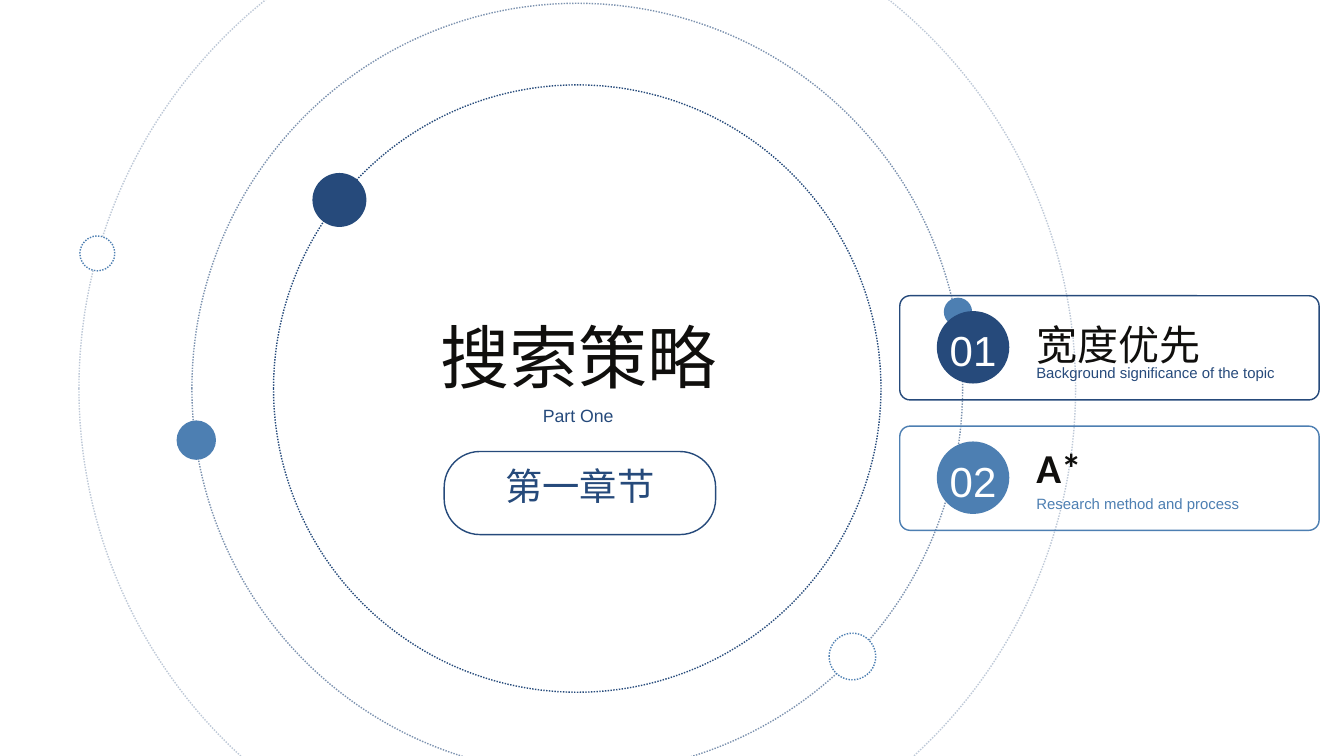
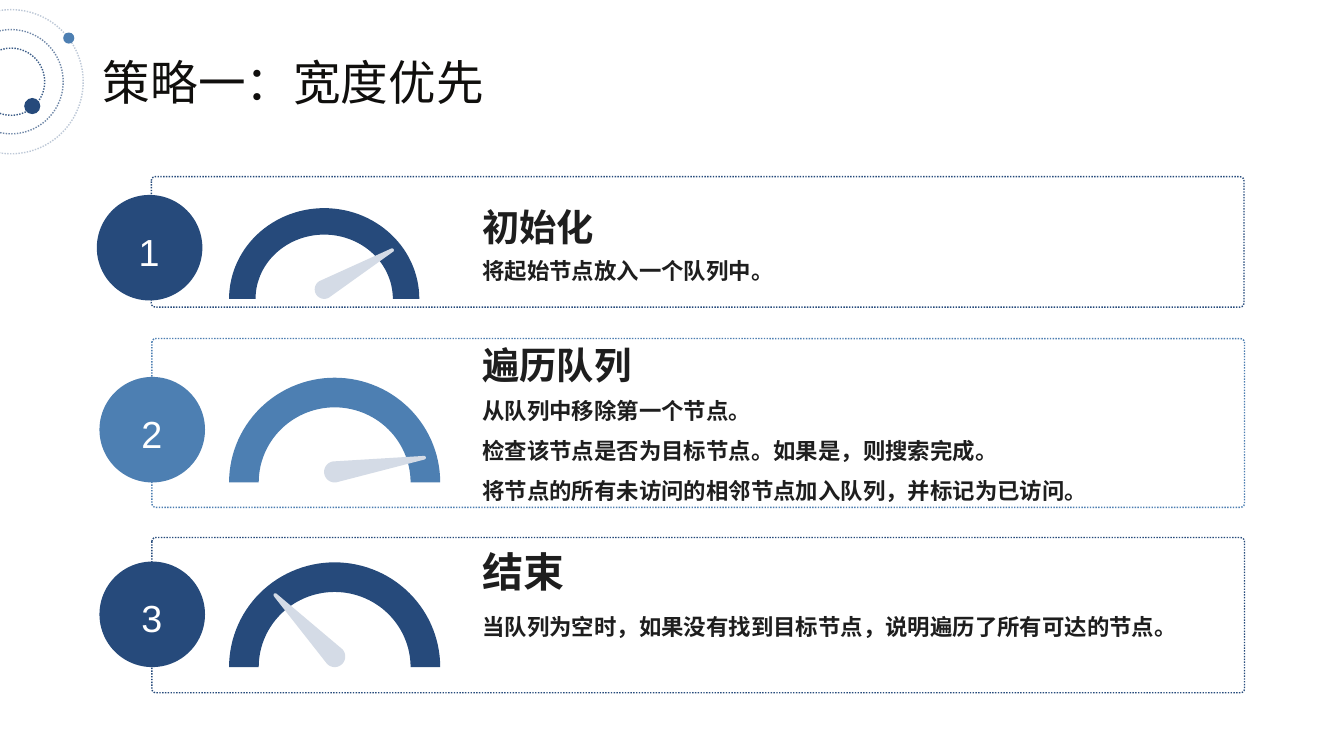
from dataclasses import dataclass
from math import cos, radians, sin

from lxml import etree
from pptx import Presentation
from pptx.dml.color import RGBColor
from pptx.enum.dml import MSO_LINE
from pptx.enum.shapes import MSO_SHAPE
from pptx.enum.text import MSO_ANCHOR, PP_ALIGN
from pptx.oxml.ns import qn
from pptx.util import Cm, Pt

OVAL = MSO_SHAPE.OVAL
ROUNDED = MSO_SHAPE.ROUNDED_RECTANGLE
DOTTED = MSO_LINE.ROUND_DOT
LEFT, CENTER, JUSTIFY = PP_ALIGN.LEFT, PP_ALIGN.CENTER, PP_ALIGN.JUSTIFY

COLORS = {
    "navy": "264A7B",
    "blue": "4D7FB2",
    "needle": "D4DBE6",
    "title": "100F0D",
    "body": "1E1E1E",
    "white": "FFFFFF",
}
TITLE_FONT, LATIN_FONT, BODY_FONT = "Calibri", "Arial", "Noto Sans CJK SC"


# All lengths in the records are centimetres.
@dataclass
class Ring:
    diameter: float
    opacity: int


@dataclass
class Dot:
    x: float
    y: float
    diameter: float
    color: str
    hollow: bool = False


@dataclass
class Card:
    number: str
    title: str
    subtitle: str
    color: str
    title_spacing: float
    bold: bool = False


@dataclass
class Gauge:
    width: float
    height: float
    band: float
    baseline: float
    pivot_radius: float
    needle_angle: float
    needle_length: float


@dataclass
class Step:
    number: str
    heading: str
    lines: list[str]
    color: str
    panel: tuple[float, float, float]  # left, top, height
    badge: tuple[float, float]  # left, top
    gauge: Gauge
    heading_top: float
    body_top: float
    heading_size: float = 40
    body_height: float = 1.02
    body_spacing: float | Pt = Pt(28.6)


CHAPTER_RINGS = [Ring(37.67, 30), Ring(29.13, 60), Ring(22.96, 100)]
CHAPTER_DOTS = [
    Dot(12.83, 7.56, 2.04, "navy"),
    Dot(7.42, 16.64, 1.49, "blue"),
    Dot(32.22, 24.82, 1.76, "blue", hollow=True),
    Dot(3.68, 9.58, 1.32, "blue", hollow=True),
    Dot(36.21, 11.79, 1.07, "blue"),
]
HEADER_RINGS = [Ring(5.45, 30), Ring(3.94, 65), Ring(2.54, 90)]
HEADER_DOTS = [Dot(1.22, 4.01, 0.61, "navy"), Dot(2.6, 1.44, 0.42, "blue")]

CARDS = [
    Card("01", "宽度优先", "Background significance of the topic", "navy", 61.2),
    Card("02", "A*", "Research method and process", "blue", 52.8, bold=True),
]
CARD_TOP, CARD_PITCH = 11.18, 4.93

STEPS = [
    Step("1", "初始化", ["将起始节点放入一个队列中。"], "navy",
         (5.72, 6.68, 4.93), (3.66, 7.37),
         Gauge(7.19, 3.43, 1, 11.3, 0.36, 30, 2.96), 7.87, 9.73),
    Step("2", "遍历队列",
         ["从队列中移除第一个节点。",
          "检查该节点是否为目标节点。如果是，则搜索完成。",
          "将节点的所有未访问的相邻节点加入队列，并标记为已访问。"], "blue",
         (5.74, 12.8, 6.38), (3.76, 14.25),
         Gauge(7.98, 3.96, 1.12, 18.24, 0.4, 9, 3.42), 13.08, 14.5,
         body_height=4.32, body_spacing=1.5),
    Step("3", "结束", ["当队列为空时，如果没有找到目标节点，说明遍历了所有可达的节点。"], "navy",
         (5.74, 20.32, 5.87), (3.76, 21.23),
         Gauge(7.98, 3.96, 1.12, 25.22, 0.4, 134, 3.23), 20.98, 23.19,
         heading_size=44),
]
GAUGE_LEFT, TEXT_LEFT, BADGE_SIZE = 8.66, 18.23, 3.99


def rgb(name: str) -> RGBColor:
    return RGBColor.from_string(COLORS[name])


def paint(shape, fill: str | None, line: str | None, dotted: bool, opacity: int) -> None:
    shape.shadow.inherit = False
    if fill:
        shape.fill.solid()
        shape.fill.fore_color.rgb = rgb(fill)
    else:
        shape.fill.background()
    if not line:
        shape.line.fill.background()
        return
    shape.line.color.rgb = rgb(line)
    shape.line.width = Pt(1.5)
    if dotted:
        shape.line.dash_style = DOTTED
    if opacity < 100:
        color = shape.line._ln.find(".//" + qn("a:srgbClr"))
        etree.SubElement(color, qn("a:alpha")).set("val", str(opacity * 1000))


def add_preset(slide, kind, left: float, top: float, width: float, height: float, *,
               fill: str | None = None, line: str | None = None, dotted: bool = False,
               opacity: int = 100, radius: float = 0) -> None:
    shape = slide.shapes.add_shape(kind, Cm(left), Cm(top), Cm(width), Cm(height))
    if kind == ROUNDED:
        shape.adjustments[0] = radius / min(width, height)
    paint(shape, fill, line, dotted, opacity)


def add_polygon(slide, points: list[tuple[float, float]], fill: str) -> None:
    corners = [(Cm(x), Cm(y)) for x, y in points]
    builder = slide.shapes.build_freeform(*corners[0])
    builder.add_line_segments(corners[1:], close=True)
    paint(builder.convert_to_shape(), fill, None, False, 100)


def add_text(slide, text: str | list[str], left: float, top: float, width: float,
             height: float, *, size: float, font: str, color: str,
             spacing: float | Pt, align=LEFT, bold: bool = False) -> None:
    box = slide.shapes.add_textbox(Cm(left), Cm(top), Cm(width), Cm(height))
    frame = box.text_frame
    frame.word_wrap = True
    frame.vertical_anchor = MSO_ANCHOR.TOP
    frame.margin_left = frame.margin_right = frame.margin_top = frame.margin_bottom = 0
    lines = [text] if isinstance(text, str) else text
    for index, line in enumerate(lines):
        paragraph = frame.paragraphs[0] if index == 0 else frame.add_paragraph()
        paragraph.alignment = align
        paragraph.line_spacing = spacing
        run = paragraph.add_run()
        run.text = line
        run.font.size = Pt(size)
        run.font.bold = bold
        run.font.name = font
        run.font.color.rgb = rgb(color)
        east_asian = etree.SubElement(run.font._element, qn("a:ea"))
        east_asian.set("typeface", font)


def add_circle(slide, x: float, y: float, diameter: float, **style) -> None:
    add_preset(slide, OVAL, x - diameter / 2, y - diameter / 2, diameter, diameter, **style)


def add_orbits(slide, x: float, y: float, rings: list[Ring], dots: list[Dot]) -> None:
    for ring in rings:
        add_circle(slide, x, y, ring.diameter, line="navy", dotted=True, opacity=ring.opacity)
    for dot in dots:
        if dot.hollow:
            add_circle(slide, dot.x, dot.y, dot.diameter, fill="white", line=dot.color, dotted=True)
        else:
            add_circle(slide, dot.x, dot.y, dot.diameter, fill=dot.color)


def arc(x: float, y: float, radius_x: float, radius_y: float,
        start: int, end: int, step: int) -> list[tuple[float, float]]:
    """Points counterclockwise from the right, angles in degrees."""
    angles = [radians(angle) for angle in range(start, end + step, step)]
    return [(x + radius_x * cos(a), y - radius_y * sin(a)) for a in angles]


def add_gauge(slide, gauge: Gauge, color: str) -> None:
    x, y = GAUGE_LEFT + gauge.width / 2, gauge.baseline
    outer = arc(x, y, gauge.width / 2, gauge.height, 0, 180, 3)
    inner = arc(x, y, gauge.width / 2 - gauge.band, gauge.height - gauge.band, 180, 0, -3)
    add_polygon(slide, outer + inner, color)

    # Needle: a round pivot tapering to a small round tip
    pivot, tip, angle = gauge.pivot_radius, 0.07, gauge.needle_angle
    pivot_y = y - pivot
    tip_x = x + gauge.needle_length * cos(radians(angle))
    tip_y = pivot_y - gauge.needle_length * sin(radians(angle))
    base = arc(x, pivot_y, pivot, pivot, angle + 90, angle + 270, 10)
    end = arc(tip_x, tip_y, tip, tip, angle - 90, angle + 90, 30)
    add_polygon(slide, base + end, "needle")


def add_card(slide, card: Card, top: float) -> None:
    add_preset(slide, ROUNDED, 34.01, top, 15.85, 3.94, line=card.color, radius=0.39)
    add_text(slide, card.title, 39.17, top + 0.61, 13.77, card.title_spacing / 28.35,
             size=44, font=TITLE_FONT, color="title", spacing=Pt(card.title_spacing),
             bold=card.bold)
    add_text(slide, card.subtitle, 39.17, top + 2.57, 13.77, 0.69,
             size=16, font=LATIN_FONT, color=card.color, spacing=Pt(19.2))
    add_preset(slide, OVAL, 35.41, top + 0.58, 2.74, 2.74, fill=card.color)
    add_text(slide, card.number, 35.28, top + 1.1, 3, 1.93, size=45, font=LATIN_FONT,
             color="white", spacing=Pt(54), align=CENTER)


def add_step(slide, step: Step) -> None:
    left, top, height = step.panel
    add_preset(slide, ROUNDED, left, top, 41.3, height, line=step.color, dotted=True, radius=0.15)
    add_gauge(slide, step.gauge, step.color)
    add_text(slide, step.lines, TEXT_LEFT, step.body_top, 27.41, step.body_height, size=24,
             font=BODY_FONT, color="body", spacing=step.body_spacing, align=JUSTIFY, bold=True)
    add_text(slide, step.heading, TEXT_LEFT, step.heading_top, 7.34, 1.55,
             size=step.heading_size, font=BODY_FONT, color="body", spacing=Pt(43.7), bold=True)
    badge_left, badge_top = step.badge
    add_preset(slide, OVAL, badge_left, badge_top, BADGE_SIZE, BADGE_SIZE, fill=step.color)
    add_text(slide, step.number, badge_left + 0.2, badge_top + 1.27, 3.56, 1.73, size=40.4,
             font=LATIN_FONT, color="white", spacing=Pt(48.4), align=CENTER)


def build_chapter(slide) -> None:
    add_orbits(slide, 21.82, 14.69, CHAPTER_RINGS, CHAPTER_DOTS)
    add_text(slide, "搜索策略", 11.25, 11.58, 21.23, 3.48, size=74, font=TITLE_FONT,
             color="title", spacing=Pt(97.7), align=CENTER)
    add_text(slide, "Part One", 13.56, 15.29, 16.59, 0.81, size=19, font=LATIN_FONT,
             color="navy", spacing=Pt(22.8), align=CENTER)
    add_preset(slide, ROUNDED, 16.79, 17.07, 10.26, 3.14, line="navy", radius=1.35)
    add_text(slide, "第一章节", 18.08, 18.08, 7.67, 1.12, size=40, font=TITLE_FONT,
             color="navy", spacing=Pt(31.7), align=CENTER)
    for index, card in enumerate(CARDS):
        add_card(slide, card, CARD_TOP + index * CARD_PITCH)


def build_strategy(slide) -> None:
    add_text(slide, "策略一：宽度优先", 3.89, 2.01, 17.37, 2.18, size=51, font=TITLE_FONT,
             color="title", spacing=Pt(61.2))
    add_orbits(slide, 0.42, 3.09, HEADER_RINGS, HEADER_DOTS)
    for step in STEPS:
        add_step(slide, step)


def main() -> None:
    presentation = Presentation()
    presentation.slide_width = Cm(50.8)
    presentation.slide_height = Cm(28.58)
    blank = presentation.slide_layouts[6]
    for build in (build_chapter, build_strategy):
        build(presentation.slides.add_slide(blank))
    presentation.save("out.pptx")


if __name__ == "__main__":
    main()
